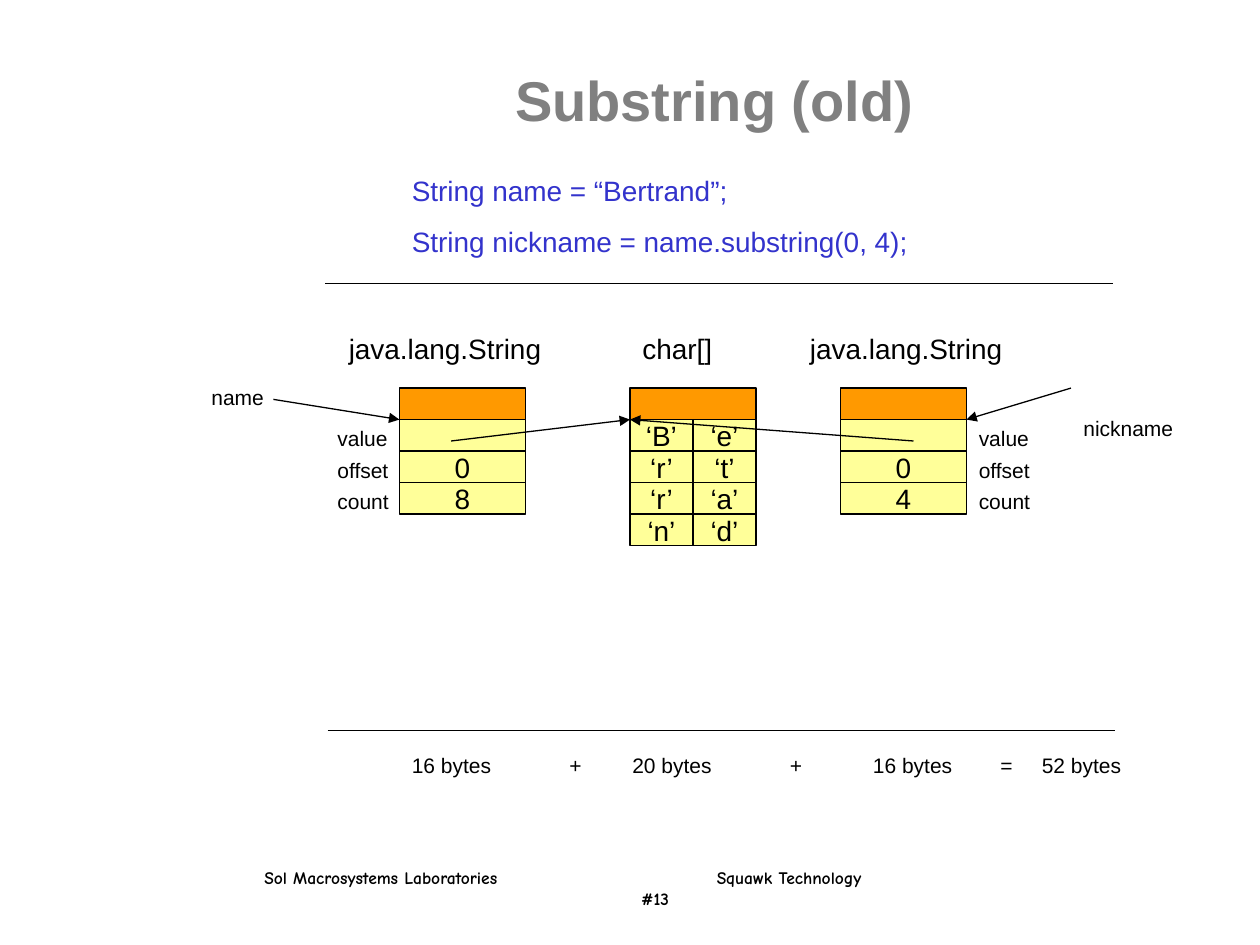
from pptx import Presentation
from pptx.dml.color import RGBColor
from pptx.enum.shapes import MSO_CONNECTOR, MSO_SHAPE
from pptx.enum.text import MSO_ANCHOR, MSO_AUTO_SIZE, PP_ALIGN
from pptx.oxml.ns import qn
from pptx.util import Inches, Pt
from lxml import etree

STRAIGHT, RECTANGLE = MSO_CONNECTOR.STRAIGHT, MSO_SHAPE.RECTANGLE
MIDDLE, CENTER, LEFT = MSO_ANCHOR.MIDDLE, PP_ALIGN.CENTER, PP_ALIGN.LEFT
GROW, FIXED = MSO_AUTO_SIZE.SHAPE_TO_FIT_TEXT, MSO_AUTO_SIZE.NONE

# Content
TITLE = "Substring (old)"
CODE = ["String name = “Bertrand”;", "String nickname = name.substring(0, 4);"]
FIELDS = ["value", "offset", "count"]
OBJECTS = [  # heading, heading left, heading width, object left, rows
    ("java.lang.String", 2.67, 1.83, 3.17, [[""], ["0"], ["8"]]),
    ("char[]", 5, 0.83, 5,
     [["‘B’", "‘e’"], ["‘r’", "‘t’"], ["‘r’", "‘a’"], ["‘n’", "‘d’"]]),
    ("java.lang.String", 6.33, 1.83, 6.67, [[""], ["0"], ["4"]]),
]
FIELD_LEFTS = [2.58, 7.67]
VARIABLES = [("name", 1.58, 3, 0.67), ("nickname", 8.5, 3.25, 1.08)]
REFERENCES = [
    ((2.17, 3.17), (3.17, 3.33)),
    ((8.5, 3.08), (7.67, 3.33)),
    ((3.58, 3.5), (5, 3.33)),
    ((7.25, 3.5), (5, 3.33)),
]
RULES = [((2.58, 2.25), (8.83, 2.25)), ((2.6, 5.8), (8.85, 5.8))]
MEMORY_SUM = [
    ("16 bytes", 3.17), ("+", 4.42), ("20 bytes", 4.92), ("+", 6.17),
    ("16 bytes", 6.83), ("=", 7.84), ("52 bytes", 8.17),
]
FOOTER = [  # line, tab stop
    ("Sol Macrosystems Laboratories\tSquawk Technology", 3.59),
    ("\t#13", 2.99),
]

THEME = {
    "font": "Arial", "footer_font": "Comic Neue",
    "title": RGBColor(0x80, 0x80, 0x80), "code": RGBColor(0x33, 0x33, 0xCC),
    "ink": RGBColor(0, 0, 0), "header": RGBColor(0xFF, 0x99, 0),
    "cell": RGBColor(0xFF, 0xFF, 0x99),
    "title_size": 32, "body_size": 16, "label_size": 12, "footer_size": 10,
    "line": 0.75,
}
OBJECT_TOP, OBJECT_WIDTH, ROW_HEIGHT = 3.08, 1, 0.25
HEADING_TOP, SUM_TOP = 2.58, 5.92

prs = Presentation()
prs.slide_width, prs.slide_height = Inches(10), Inches(7.5)
slide = prs.slides.add_slide(prs.slide_layouts[5])


def write(paragraph, text, size, color=THEME["ink"], font=THEME["font"],
          bold=False, align=LEFT):
    paragraph.alignment = align
    run = paragraph.add_run()
    run.text = text
    run.font.name, run.font.size, run.font.bold = font, Pt(size), bold
    run.font.color.rgb = color


def add_box(left, top, width, height, wrap=True):
    frame = slide.shapes.add_textbox(*map(Inches, (left, top, width, height))).text_frame
    frame.word_wrap, frame.auto_size = wrap, GROW
    return frame


def add_label(text, left, top, width, wrap=True):
    frame = add_box(left, top, width, 0.3, wrap)
    write(frame.paragraphs[0], text, THEME["label_size"])


def add_cell(text, left, top, width, fill):
    cell = slide.shapes.add_shape(RECTANGLE, *map(Inches, (left, top, width, ROW_HEIGHT)))
    cell.shadow.inherit = False
    cell.fill.solid()
    cell.fill.fore_color.rgb = fill
    cell.line.color.rgb, cell.line.width = THEME["ink"], Pt(THEME["line"])
    if text:
        frame = cell.text_frame
        frame.word_wrap, frame.vertical_anchor = False, MIDDLE
        write(frame.paragraphs[0], text, THEME["body_size"], align=CENTER)


def add_line(start, end, arrow=False):
    line = slide.shapes.add_connector(STRAIGHT, *map(Inches, start + end))
    line.line.color.rgb, line.line.width = THEME["ink"], Pt(THEME["line"])
    if arrow:
        outline = line.line._get_or_add_ln()
        etree.SubElement(outline, qn("a:tailEnd"), type="triangle")
    etree.SubElement(line._element.spPr, qn("a:effectLst"))


# Footer
footer = add_box(2, 6.83, 6.29, 0.44)
for index, (text, stop) in enumerate(FOOTER):
    paragraph = footer.add_paragraph() if index else footer.paragraphs[0]
    tabs = etree.SubElement(paragraph._p.get_or_add_pPr(), qn("a:tabLst"))
    etree.SubElement(tabs, qn("a:tab"), pos=str(Inches(stop)), algn="l")
    write(paragraph, text, THEME["footer_size"], font=THEME["footer_font"], bold=True)

# Title
title = slide.shapes.title
title.left, title.top, title.width, title.height = map(Inches, (1.92, 0.5, 7.5, 0.58))
title.text_frame.auto_size, title.text_frame.vertical_anchor = FIXED, MIDDLE
write(title.text_frame.paragraphs[0], TITLE, THEME["title_size"], THEME["title"],
      bold=True, align=CENTER)

# Code
code = add_box(3.17, 1.33, 4.5, 0.77)
for index, text in enumerate(CODE):
    paragraph = code.add_paragraph() if index else code.paragraphs[0]
    if index:
        paragraph.space_before = Pt(10)
    write(paragraph, text, THEME["body_size"], THEME["code"])

# Objects: heading, header cell and a grid of values
for heading, heading_left, heading_width, left, rows in OBJECTS:
    frame = add_box(heading_left, HEADING_TOP, heading_width, 0.37)
    write(frame.paragraphs[0], heading, THEME["body_size"])
    add_cell("", left, OBJECT_TOP, OBJECT_WIDTH, THEME["header"])
    for row, values in enumerate(rows, start=1):
        width = OBJECT_WIDTH / len(values)
        for column, value in enumerate(values):
            add_cell(value, left + column * width, OBJECT_TOP + row * ROW_HEIGHT,
                     width, THEME["cell"])

# Field and variable labels
for left in FIELD_LEFTS:
    for row, field in enumerate(FIELDS, start=1):
        add_label(field, left, OBJECT_TOP + row * ROW_HEIGHT, 0.67)
for text, left, top, width in VARIABLES:
    add_label(text, left, top, width)

# Rules and reference arrows
for start, end in RULES:
    add_line(start, end)
for start, end in REFERENCES:
    add_line(start, end, arrow=True)

# Memory sum
for text, left in MEMORY_SUM:
    add_label(text, left, SUM_TOP, 0.83 if len(text) > 1 else 0.29, wrap=False)

prs.save("out.pptx")
